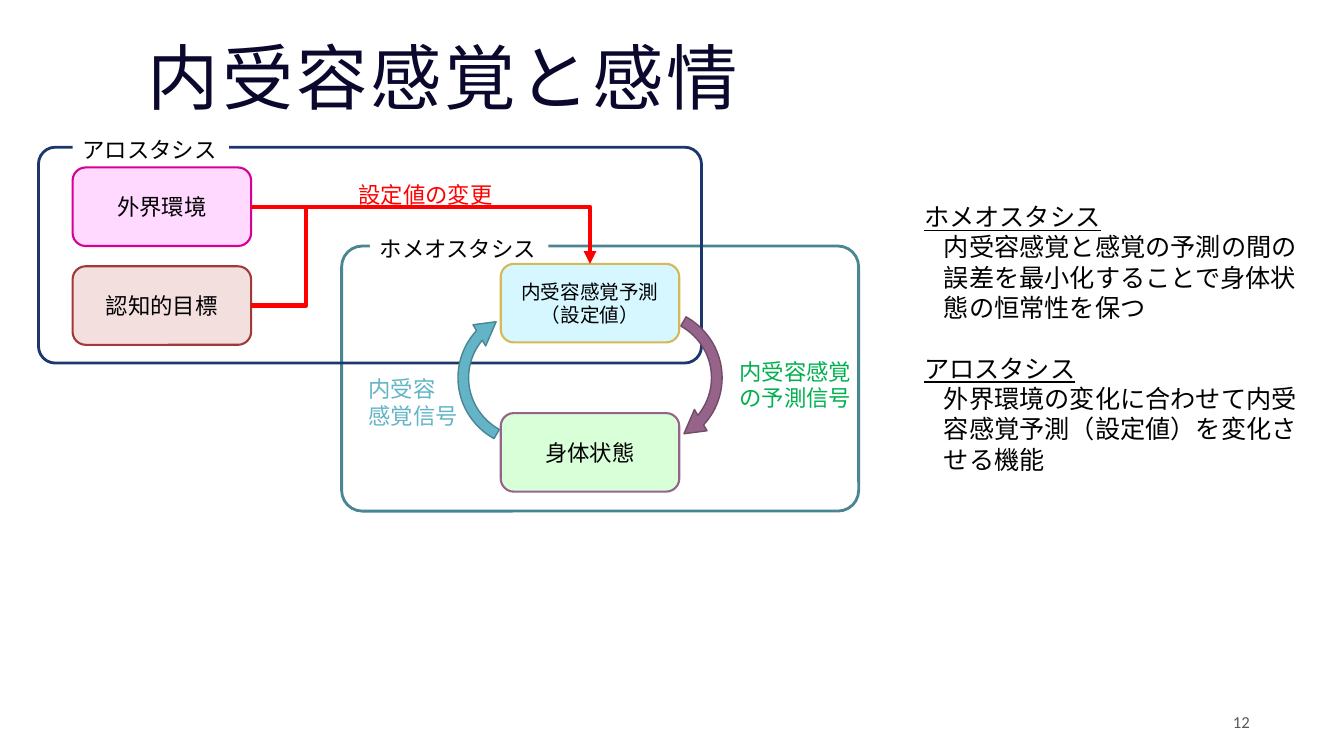
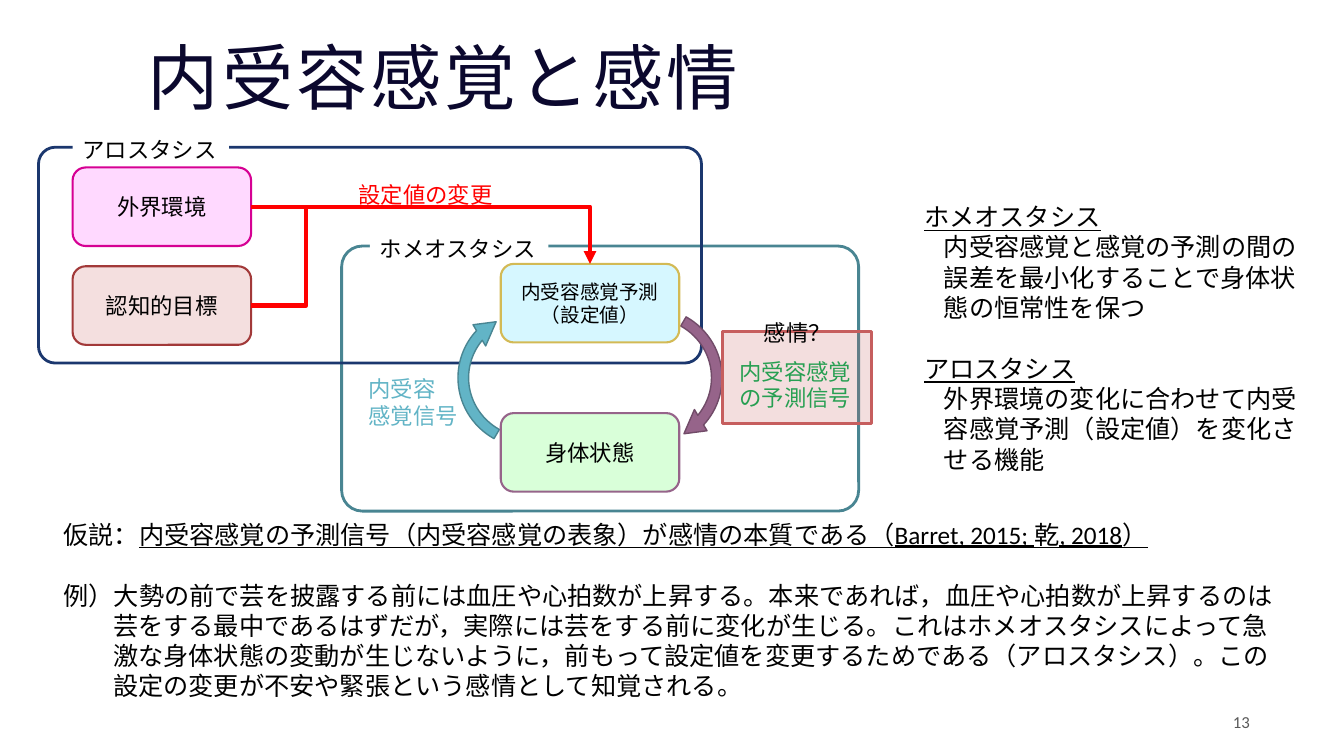
"""Build two slides on interoception, homeostasis and emotion."""
import pptx
import pptx.util
import pptx.dml.color
import pptx.enum.shapes
import pptx.enum.text
import pptx.oxml.ns
from lxml import etree

Cm, Pt = pptx.util.Cm, pptx.util.Pt
SHAPES = pptx.enum.shapes.MSO_SHAPE
ANCHOR = pptx.enum.text.MSO_ANCHOR
ALIGN = pptx.enum.text.PP_ALIGN
FIT = pptx.enum.text.MSO_AUTO_SIZE.SHAPE_TO_FIT_TEXT
qn = pptx.oxml.ns.qn

COLORS = {
    "title": "0B082E", "number": "595959", "black": "000000", "white": "FFFFFF",
    "teal": "498592", "sky": "62B4C6", "navy": "1B376E", "red": "FF0000",
    "green": "00B050", "plum": "96648A", "dark plum": "714B68", "mint": "D9FFD9",
    "ice": "D6F7FF", "gold": "D3BA55", "pink": "FFD9FF", "magenta": "D60093",
    "rose": "F4DFDF", "brick": "A23939", "coral": "C65E5E",
}
TITLE = "内受容感覚と感情"
TITLE_AREA = (3.48, 1.07, 28.27, 1.98)
NUMBER_AREA = (23.93, 17.7, 7.82, 0.97)
NODE_SIZE = (4.5, 1.98)
ARROW_SIZE = (3.89, 3.96)
ARROW_TOP = 7.54
ARROW_ADJUSTMENTS = (0.069, 11.423, 186.121, 126.145, 0.08)
FRAME_ADJUSTMENTS = (0.078,)
JUNCTION_X = 7.72

FRAMES = [
    ("ホメオスタシス", "teal", (8.61, 6.2, 13.03, 6.68), (9.32, 5.79, 4.5, 0.89)),
    ("アロスタシス", "navy", (0.97, 3.71, 16.71, 5.44), (1.83, 3.3, 3.94, 0.89)),
]
ARROWS = [
    (14.45, "plum", "dark plum", False),
    (11.4, "sky", "teal", True),
]
LABELS = [
    (["内受容", "感覚信号"], "sky", (9.04, 9.32, 2.79, 1.55)),
    (["設定値の変更"], "red", (8.79, 4.45, 4.17, 1.09)),
    (["内受容感覚", "の予測信号"], "green", (18.39, 8.89, 3.56, 1.91)),
]
NODES = {
    "body": ("身体状態", (12.62, 10.41), "mint", "plum", 16),
    "prediction": ("内受容感覚予測（設定値）", (12.62, 6.65), "ice", "gold", 14),
    "environment": ("外界環境", (1.83, 4.22), "pink", "magenta", 16),
    "goal": ("認知的目標", (1.83, 6.71), "rose", "brick", 16),
}
DEFINITIONS_AREA = (23.04, 4.95, 10.13, 7.19)
DEFINITIONS = [
    ("ホメオスタシス", "内受容感覚と感覚の予測の間の誤差を最小化することで身体状態の恒常性を保つ"),
    ("アロスタシス", "外界環境の変化に合わせて内受容感覚予測（設定値）を変化させる機能"),
]
EMOTION_AREA = (18.21, 8.36, 3.76, 2.31)
EMOTION_LABEL = (["感情？"], "black", (19, 7.92, 2.36, 1.09))
HYPOTHESIS_AREA = (1.35, 12.95, 31.19, 4.88)
HYPOTHESIS = [
    ("仮説：", False),
    ("内受容感覚の予測信号（内受容感覚の表象）が感情の本質である（Barret, 2015; 乾, 2018）", True),
]
EXAMPLE = (
    "例）大勢の前で芸を披露する前には血圧や心拍数が上昇する。"
    "本来であれば，血圧や心拍数が上昇するのは芸をする最中であるはずだが，"
    "実際には芸をする前に変化が生じる。"
    "これはホメオスタシスによって急激な身体状態の変動が生じないように，"
    "前もって設定値を変更するためである（アロスタシス）。"
    "この設定の変更が不安や緊張という感情として知覚される。"
)
SLIDES = [("12", False), ("13", True)]
SECTION_GAP = Pt(22)


def color(name):
    return pptx.dml.color.RGBColor.from_string(COLORS[name])


def apply(target, values):
    for name, value in values.items():
        setattr(target, name, value)


def lengths(area):
    return [Cm(value) for value in area]


def write(frame, paragraphs, size=16, ink="black", font="Calibri", **frame_format):
    """Fill a text frame from (runs, paragraph format, indents) entries."""
    apply(frame, {"word_wrap": True, **frame_format})
    for index, (runs, paragraph_format, indents) in enumerate(paragraphs):
        paragraph = frame.add_paragraph() if index else frame.paragraphs[0]
        apply(paragraph, {"alignment": ALIGN.LEFT, **paragraph_format})
        for name, value in indents.items():
            paragraph._p.get_or_add_pPr().set(name, str(Cm(value)))
        for text, underline in runs:
            run = paragraph.add_run()
            run.text = text
            apply(run.font, {"size": Pt(size), "name": font, "underline": underline})
            run.font.color.rgb = color(ink)


def plain(*lines, **paragraph_format):
    return [([(line, False)], paragraph_format, {}) for line in lines]


def add_text(slide, area, paragraphs, **text_format):
    box = slide.shapes.add_textbox(*lengths(area))
    write(box.text_frame, paragraphs, **text_format)
    return box


def add_label(slide, lines, ink, area):
    add_text(slide, area, plain(*lines), ink=ink, word_wrap=False, auto_size=FIT)


def add_shape(slide, kind, area, fill=None, line=None, width=1.5, adjustments=()):
    shape = slide.shapes.add_shape(kind, *lengths(area))
    shape.shadow.inherit = False
    for index, value in enumerate(adjustments):
        shape.adjustments[index] = value
    for part, name in ((shape.fill, fill), (shape.line.fill, line)):
        if name:
            part.solid()
            part.fore_color.rgb = color(name)
        else:
            part.background()
    if line:
        shape.line.width = Pt(width)
    return shape


def add_elbow(slide, start, end, arrowhead=False):
    connector = slide.shapes.add_connector(
        pptx.enum.shapes.MSO_CONNECTOR.ELBOW, *lengths(start + end))
    properties = connector._element.spPr
    properties.find(qn("a:prstGeom")).set("prst", "bentConnector2")
    connector.line.color.rgb = color("red")
    connector.line.width = Pt(3)
    if arrowhead:
        line = properties.find(qn("a:ln"))
        etree.SubElement(line, qn("a:tailEnd"), type="triangle")
    etree.SubElement(properties, qn("a:effectLst"))
    return connector


def add_diagram(slide):
    for caption, line, area, caption_area in FRAMES:
        add_shape(slide, SHAPES.ROUNDED_RECTANGLE, area, line=line, width=2,
                  adjustments=FRAME_ADJUSTMENTS)
        tag = add_shape(slide, SHAPES.RECTANGLE, caption_area, fill="white")
        write(tag.text_frame, plain(caption), vertical_anchor=ANCHOR.TOP, auto_size=FIT)
    for left, fill, line, flipped in ARROWS:
        arrow = add_shape(slide, SHAPES.CIRCULAR_ARROW, (left, ARROW_TOP) + ARROW_SIZE,
                          fill, line, 1, ARROW_ADJUSTMENTS)
        arrow.rotation = 90
        if flipped:
            for name in ("flipH", "flipV"):
                arrow._element.spPr.find(qn("a:xfrm")).set(name, "1")
    nodes = {}
    for name, (text, corner, fill, line, size) in NODES.items():
        nodes[name] = add_shape(slide, SHAPES.ROUNDED_RECTANGLE, corner + NODE_SIZE, fill, line)
        write(nodes[name].text_frame, plain(text, alignment=ALIGN.CENTER), size=size,
              vertical_anchor=ANCHOR.MIDDLE)
    width, height = NODE_SIZE
    exits = {name: (node[1][0] + width, node[1][1] + height / 2)
             for name, node in NODES.items()}
    left, top = NODES["prediction"][1]
    change = add_elbow(slide, exits["environment"], (left + width / 2, top), True)
    change.begin_connect(nodes["environment"], 3)
    change.end_connect(nodes["prediction"], 0)
    branch = add_elbow(slide, exits["goal"], (JUNCTION_X, exits["environment"][1]))
    branch.begin_connect(nodes["goal"], 3)
    for label in LABELS:
        add_label(slide, *label)


def add_definitions(slide):
    paragraphs = []
    for index, (term, meaning) in enumerate(DEFINITIONS):
        gap = {"space_before": SECTION_GAP} if index else {}
        paragraphs.append(([(term, True)], gap, {}))
        paragraphs.append(([(meaning, False)], {}, {"marL": 0.5}))
    add_text(slide, DEFINITIONS_AREA, paragraphs, size=18)


def add_emotion(slide):
    highlight = add_shape(slide, SHAPES.RECTANGLE, EMOTION_AREA, "coral", "coral", 2.5)
    fill = highlight._element.spPr.find(qn("a:solidFill")).find(qn("a:srgbClr"))
    etree.SubElement(fill, qn("a:alpha"), val="20000")
    add_label(slide, *EMOTION_LABEL)
    add_text(slide, HYPOTHESIS_AREA, [
        (HYPOTHESIS, {}, {}),
        ([(EXAMPLE, False)], {"space_before": SECTION_GAP}, {"marL": 1.25, "indent": -1.25}),
    ], size=18)


def add_base(presentation, number):
    slide = presentation.slides.add_slide(presentation.slide_layouts[6])
    title = add_text(slide, TITLE_AREA, plain(TITLE, line_spacing=0.9), size=51,
                     ink="title", font="Arial Narrow", vertical_anchor=ANCHOR.MIDDLE)
    title.text_frame.paragraphs[0].runs[0]._r.get_or_add_rPr().set("spc", "200")
    add_text(slide, NUMBER_AREA, plain(number, alignment=ALIGN.RIGHT), size=12,
             ink="number", vertical_anchor=ANCHOR.MIDDLE)
    return slide


def main():
    presentation = pptx.Presentation()
    apply(presentation, {"slide_width": Cm(33.87), "slide_height": Cm(19.05)})
    for number, with_emotion in SLIDES:
        slide = add_base(presentation, number)
        add_diagram(slide)
        add_definitions(slide)
        if with_emotion:
            add_emotion(slide)
    presentation.save("out.pptx")


if __name__ == "__main__":
    main()
